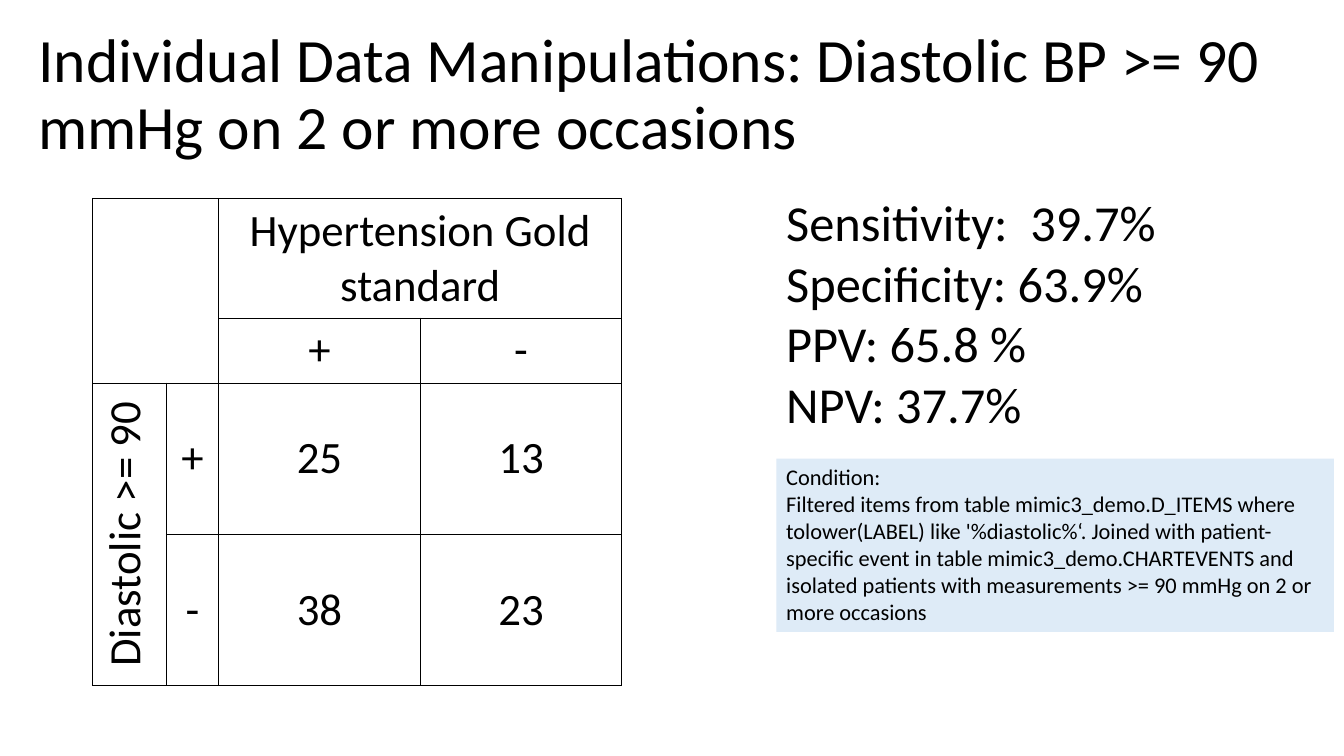
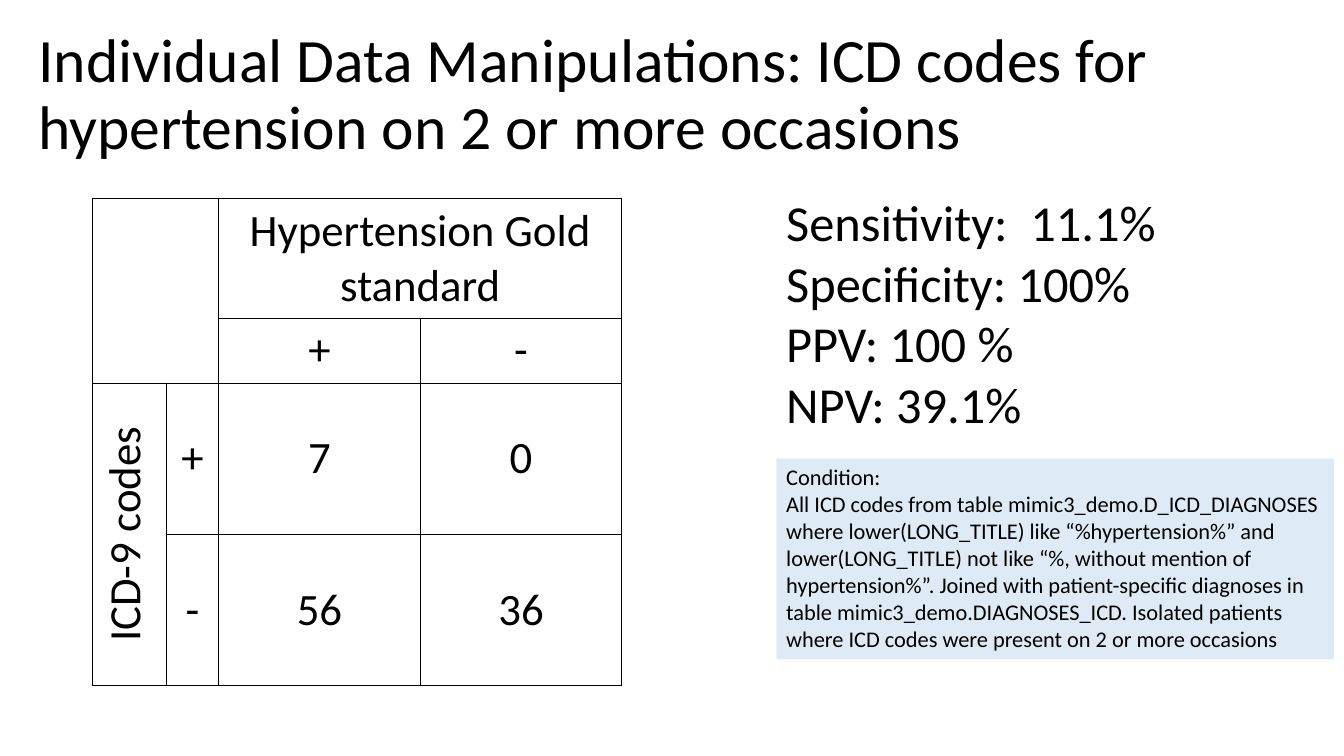
from dataclasses import dataclass
from typing import Optional

from lxml.etree import SubElement
from pptx import Presentation
from pptx.dml.color import RGBColor
from pptx.enum.shapes import MSO_SHAPE
from pptx.enum.text import MSO_ANCHOR, MSO_AUTO_SIZE, PP_ALIGN
from pptx.oxml.ns import qn
from pptx.presentation import Presentation as Deck
from pptx.slide import Slide, SlideLayout
from pptx.table import Table
from pptx.text.text import TextFrame
from pptx.util import Inches, Pt

SLIDE_WIDTH = Inches(13.333)
SLIDE_HEIGHT = Inches(7.5)
TITLE_ONLY = 5


@dataclass(frozen=True)
class Theme:
    """Colours, font and type sizes shared by all slides."""

    font: str = "Calibri"
    ink: str = "000000"
    panel: str = "DEEBF7"
    title_size: int = 44
    measure_size: int = 36
    table_size: int = 32
    condition_size: int = 16
    title_spacing: float = 0.9
    border_width: int = 1


@dataclass(frozen=True)
class Area:
    """A region in percent of the slide's width and height."""

    left: float
    top: float
    width: float
    height: float

    def bounds(self) -> tuple[int, int, int, int]:
        """Return left, top, width and height as lengths."""
        return across(self.left), down(self.top), across(self.width), down(self.height)


@dataclass(frozen=True)
class Evaluation:
    """One data manipulation, tested against the gold standard."""

    title: str
    test: str
    counts: tuple[tuple[int, int], tuple[int, int]]
    measures: tuple[str, ...]
    condition: str
    condition_lines: int


THEME = Theme()
TITLE_AREA = Area(2.1, 2.93, 97.15, 19.6)
TABLE_AREA = Area(6.9, 26.27, 39.38, 64)
MEASURES_AREA = Area(57.76, 24.67, 29.33, 33.6)
CONDITION_TOP = 60.67
CONDITION_WIDTH = 41.49
CONDITION_LINE = 3.6
CONDITION_PADDING = 1.33
TABLE_COLUMNS = (5.48, 3.9, 15, 15)
TABLE_ROWS = (5.47, 5.47, 20, 20)
SIGNS = ("+", "-")

EVALUATIONS = (
    Evaluation(
        title="Individual Data Manipulations: Diastolic BP >= 90 mmHg "
        "on 2 or more occasions",
        test="Diastolic >= 90",
        counts=((25, 13), (38, 23)),
        measures=("Sensitivity:  39.7%", "Specificity: 63.9%", "PPV: 65.8 %", "NPV: 37.7%"),
        condition="Filtered items from table mimic3_demo.D_ITEMS where tolower(LABEL) "
        "like '%diastolic%‘. Joined with patient-specific event in table "
        "mimic3_demo.CHARTEVENTS and isolated patients with measurements "
        ">= 90 mmHg on 2 or more occasions",
        condition_lines=6,
    ),
    Evaluation(
        title="Individual Data Manipulations: ICD codes for hypertension "
        "on 2 or more occasions",
        test="ICD-9 codes",
        counts=((7, 0), (56, 36)),
        measures=("Sensitivity:  11.1%", "Specificity: 100%", "PPV: 100 %", "NPV: 39.1%"),
        condition="All ICD codes from table mimic3_demo.D_ICD_DIAGNOSES where "
        "lower(LONG_TITLE) like “%hypertension%” and lower(LONG_TITLE) not like "
        "“%, without mention of hypertension%”. Joined with patient-specific "
        "diagnoses in table mimic3_demo.DIAGNOSES_ICD. Isolated patients where "
        "ICD codes were present on 2 or more occasions",
        condition_lines=7,
    ),
)


def across(percent: float) -> int:
    """Convert a share of the slide's width to a length."""
    return round(SLIDE_WIDTH * percent / 100)


def down(percent: float) -> int:
    """Convert a share of the slide's height to a length."""
    return round(SLIDE_HEIGHT * percent / 100)


def write(
    frame: TextFrame,
    lines: tuple[str, ...],
    size: int,
    alignment: PP_ALIGN = PP_ALIGN.LEFT,
    spacing: Optional[float] = None,
) -> None:
    """Write one paragraph per line in the theme's font and ink."""
    for index, line in enumerate(lines):
        paragraph = frame.add_paragraph() if index else frame.paragraphs[0]
        paragraph.alignment = alignment
        paragraph.line_spacing = spacing
        run = paragraph.add_run()
        run.text = line
        run.font.name = THEME.font
        run.font.size = Pt(size)
        run.font.color.rgb = RGBColor.from_string(THEME.ink)


def prepare_layout(presentation: Deck) -> SlideLayout:
    """Place the title on the layout, so that every slide inherits it."""
    layout = presentation.slide_layouts[TITLE_ONLY]
    title = layout.placeholders[0]
    title.left, title.top, title.width, title.height = TITLE_AREA.bounds()
    title.text_frame.vertical_anchor = MSO_ANCHOR.MIDDLE
    title.text_frame.auto_size = MSO_AUTO_SIZE.NONE
    return layout


def style_cells(table: Table) -> None:
    """Give every cell thin borders and no fill."""
    for cell in table.iter_cells():
        properties = cell._tc.get_or_add_tcPr()
        for side in ("a:lnL", "a:lnR", "a:lnT", "a:lnB"):
            border = SubElement(properties, qn(side), w=str(Pt(THEME.border_width)))
            fill = SubElement(border, qn("a:solidFill"))
            SubElement(fill, qn("a:srgbClr"), val=THEME.ink)
        cell.fill.background()


def add_contingency_table(slide: Slide, evaluation: Evaluation) -> None:
    """Draw the two-by-two table of test against gold standard."""
    frame = slide.shapes.add_table(
        len(TABLE_ROWS), len(TABLE_COLUMNS), *TABLE_AREA.bounds()
    )
    table = frame.table
    table.first_row = table.horz_banding = False
    for column, width in zip(table.columns, TABLE_COLUMNS):
        column.width = across(width)
    for row, height in zip(table.rows, TABLE_ROWS):
        row.height = down(height)
    frame.height = down(TABLE_AREA.height)
    style_cells(table)

    table.cell(0, 0).merge(table.cell(1, 1))
    table.cell(0, 2).merge(table.cell(0, 3))
    table.cell(2, 0).merge(table.cell(3, 0))

    texts = {(0, 2): "Hypertension Gold standard", (2, 0): evaluation.test}
    for index, sign in enumerate(SIGNS, start=2):
        texts[1, index] = texts[index, 1] = sign
    for row_index, counts in enumerate(evaluation.counts, start=2):
        for column_index, count in enumerate(counts, start=2):
            texts[row_index, column_index] = str(count)
    for (row_index, column_index), text in texts.items():
        cell = table.cell(row_index, column_index)
        cell.vertical_anchor = MSO_ANCHOR.MIDDLE if row_index else MSO_ANCHOR.TOP
        write(cell.text_frame, (text,), THEME.table_size, PP_ALIGN.CENTER)
    table.cell(2, 0)._tc.get_or_add_tcPr().set("vert", "vert270")


def add_measures(slide: Slide, measures: tuple[str, ...]) -> None:
    """List the accuracy measures beside the table."""
    frame = slide.shapes.add_textbox(*MEASURES_AREA.bounds()).text_frame
    frame.word_wrap = False
    frame.auto_size = MSO_AUTO_SIZE.SHAPE_TO_FIT_TEXT
    write(frame, measures, THEME.measure_size)


def add_condition(slide: Slide, evaluation: Evaluation) -> None:
    """Explain the selection in a tinted panel as tall as its lines."""
    height = CONDITION_PADDING + CONDITION_LINE * evaluation.condition_lines
    area = Area(MEASURES_AREA.left, CONDITION_TOP, CONDITION_WIDTH, height)
    panel = slide.shapes.add_shape(MSO_SHAPE.RECTANGLE, *area.bounds())
    panel.shadow.inherit = False
    panel.fill.solid()
    panel.fill.fore_color.rgb = RGBColor.from_string(THEME.panel)
    panel.line.fill.background()
    frame = panel.text_frame
    frame.word_wrap = True
    frame.auto_size = MSO_AUTO_SIZE.SHAPE_TO_FIT_TEXT
    frame.vertical_anchor = MSO_ANCHOR.TOP
    write(frame, ("Condition:", evaluation.condition), THEME.condition_size)


def add_evaluation_slide(
    presentation: Deck, layout: SlideLayout, evaluation: Evaluation
) -> None:
    """Build one slide for one evaluation."""
    slide = presentation.slides.add_slide(layout)
    write(
        slide.shapes.title.text_frame,
        (evaluation.title,),
        THEME.title_size,
        spacing=THEME.title_spacing,
    )
    add_contingency_table(slide, evaluation)
    add_measures(slide, evaluation.measures)
    add_condition(slide, evaluation)


def main() -> None:
    """Build and save the presentation."""
    presentation = Presentation()
    presentation.slide_width = SLIDE_WIDTH
    presentation.slide_height = SLIDE_HEIGHT
    layout = prepare_layout(presentation)
    for evaluation in EVALUATIONS:
        add_evaluation_slide(presentation, layout, evaluation)
    presentation.save("out.pptx")


main()
